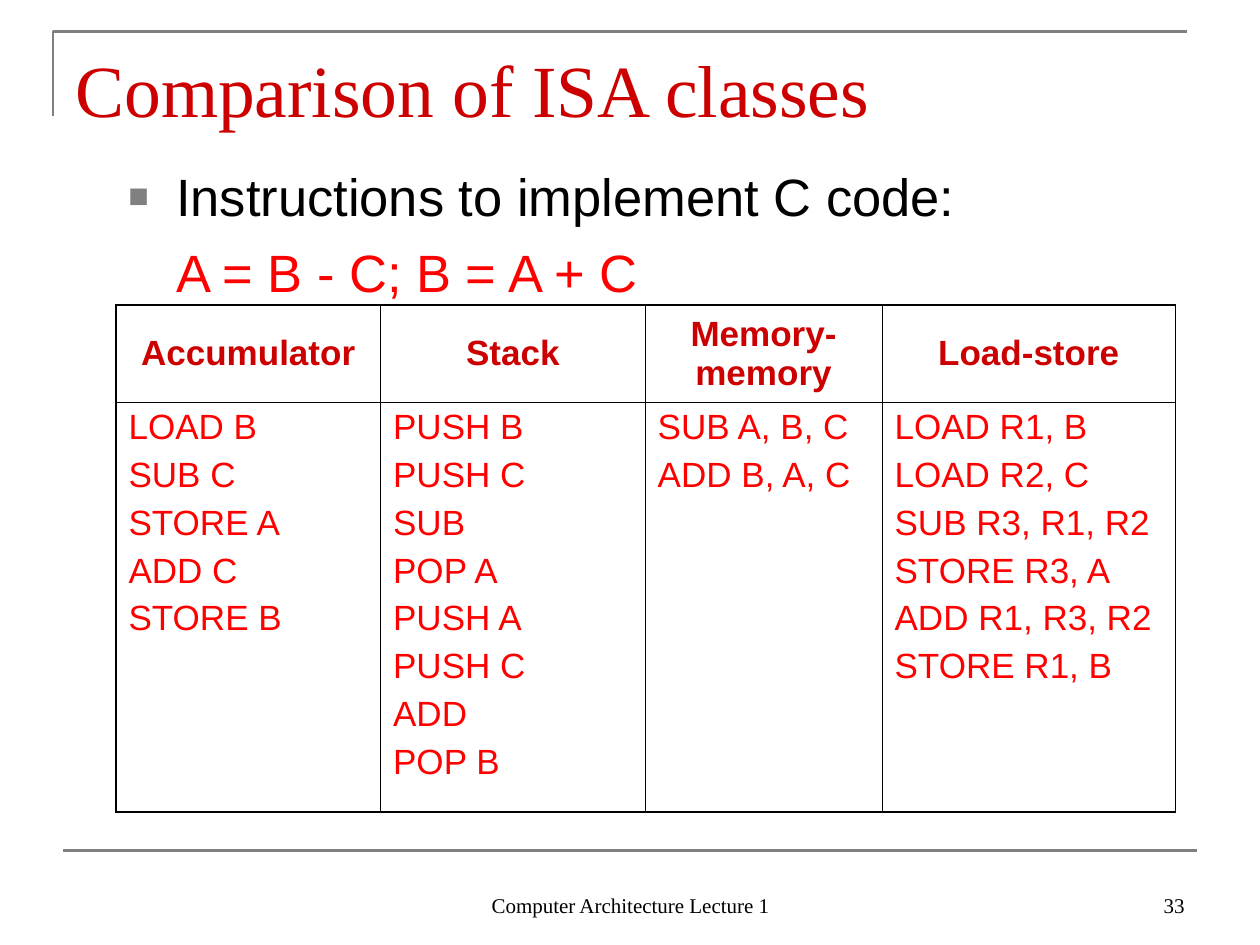
from lxml import etree
from pptx import Presentation
from pptx import util as u
from pptx.dml.color import RGBColor
from pptx.enum import shapes, text
from pptx.oxml import ns

# Content
TITLE = "Comparison of ISA classes"
LEAD = "Instructions to implement C code:"
CODE = "A = B - C; B = A + C"
FOOT = "Computer Architecture Lecture 1"
PAGE = "33"
CLASSES = [
    ("Accumulator", 2.1, ["LOAD B", "SUB C", "STORE A", "ADD C", "STORE B"]),
    ("Stack", 2.1, ["PUSH B", "PUSH C", "SUB", "POP A",
                    "PUSH A", "PUSH C", "ADD", "POP B"]),
    ("Memory-memory", 1.88, ["SUB A, B, C", "ADD B, A, C"]),
    ("Load-store", 2.33, ["LOAD R1, B", "LOAD R2, C", "SUB R3, R1, R2",
                          "STORE R3, A", "ADD R1, R3, R2", "STORE R1, B"]),
]
ROWS = [0.77, 3.25]
OUTER, INNER = 1.08, 0.45

# Formats
RED, DARK, GRAY, BLACK = "FF0000", "CC0000", "808080", "000000"
SERIF, SANS = "Times New Roman", "Arial"
HEAD = dict(name=SANS, size=20, bold=True, color=DARK)
CELL = dict(name=SANS, size=20, bold=False, color=RED)
BODY = dict(name=SANS, size=30, color=BLACK)
SMALL = dict(name=SERIF, size=12, color=BLACK)
BIG = dict(name=SERIF, size=42, color=DARK)
LEFT, MID, RIGHT = (text.PP_ALIGN.LEFT, text.PP_ALIGN.CENTER,
                    text.PP_ALIGN.RIGHT)
TOP, LOW, HALF = (text.MSO_ANCHOR.TOP, text.MSO_ANCHOR.BOTTOM,
                  text.MSO_ANCHOR.MIDDLE)


def rgb(code):
    return RGBColor.from_string(code)


def style(font, form):
    for key, val in form.items():
        if key == "color":
            font.color.rgb = rgb(val)
        else:
            setattr(font, key, u.Pt(val) if key == "size" else val)


def write(frame, lines, form, align=LEFT, gap=0):
    for i, line in enumerate(lines):
        para = frame.paragraphs[0] if i == 0 else frame.add_paragraph()
        para.alignment = align
        if i:
            para.space_before = u.Pt(gap)
        run = para.add_run()
        run.text = line
        style(run.font, form)


def add_box(slide, spot, lines, form, align=LEFT, anchor=TOP, gap=0):
    frame = slide.shapes.add_textbox(*map(u.Inches, spot)).text_frame
    frame.word_wrap = True
    frame.vertical_anchor = anchor
    write(frame, lines, form, align, gap)
    return frame


def add_tag(root, tag, **attrs):
    return etree.SubElement(root, ns.qn(tag), attrs)


def paint(line):
    line.color.rgb = rgb(GRAY)
    line.width = u.Pt(1.5)


def add_rules(slide):
    pen = slide.shapes.build_freeform(u.Inches(0.42), u.Inches(0.92))
    pen.add_line_segments([(u.Inches(x), u.Inches(y))
                           for x, y in [(0.42, 0.25), (9.42, 0.25)]], close=False)
    frame = pen.convert_to_shape()
    frame.fill.background()
    frame.shadow.inherit = False
    paint(frame.line)
    rule = slide.shapes.add_connector(
        shapes.MSO_CONNECTOR.STRAIGHT, *map(u.Inches, (0.5, 6.75, 9.5, 6.75)))
    paint(rule.line)
    add_tag(rule._element.spPr, "a:effectLst")


def add_body(slide):
    frame = add_box(slide, (0.92, 1.25, 8.58, 5.45), [LEAD, CODE], BODY,
                    gap=7.5)
    lead, code = frame.paragraphs
    code.runs[0].font.color.rgb = rgb(RED)
    for para, dent in ((lead, -0.38), (code, 0)):
        props = para._p.get_or_add_pPr()
        props.set("marL", str(u.Inches(0.38)))
        props.set("indent", str(u.Inches(dent)))
    props = lead._p.get_or_add_pPr()
    add_tag(add_tag(props, "a:buClr"), "a:srgbClr", val=GRAY)
    add_tag(props, "a:buSzPct", val="65000")
    add_tag(props, "a:buFont", typeface=SANS)
    add_tag(props, "a:buChar", char="■")


def add_edges(cell, row, col):
    edge = {"L": col == 0, "R": col == len(CLASSES) - 1,
            "T": row == 0, "B": row == len(ROWS) - 1}
    props = cell._tc.get_or_add_tcPr()
    for side, outer in edge.items():
        line = add_tag(props, "a:ln" + side, w=str(u.Pt(OUTER if outer else INNER)))
        add_tag(add_tag(line, "a:solidFill"), "a:srgbClr", val=BLACK)
    cell.fill.background()


def add_grid(slide):
    wide = sum(width for _, width, _ in CLASSES)
    grid = slide.shapes.add_table(
        len(ROWS), len(CLASSES),
        *map(u.Inches, (0.92, 2.42, wide, sum(ROWS)))).table
    for row, high in zip(grid.rows, ROWS):
        row.height = u.Inches(high)
    for col, (name, width, code) in enumerate(CLASSES):
        grid.columns[col].width = u.Inches(width)
        parts = [([name], HEAD, MID, HALF), (code, CELL, LEFT, TOP)]
        for row, (lines, form, align, anchor) in enumerate(parts):
            cell = grid.cell(row, col)
            cell.vertical_anchor = anchor
            write(cell.text_frame, lines, form, align, 5)
            add_edges(cell, row, col)


def main():
    deck = Presentation()
    deck.slide_width, deck.slide_height = u.Inches(10), u.Inches(7.5)
    slide = deck.slides.add_slide(deck.slide_layouts[6])
    add_rules(slide)
    # Footer and page number
    add_box(slide, (3.42, 6.83, 3.17, 0.5), [FOOT], SMALL, MID, LOW)
    add_box(slide, (7.17, 6.83, 2.33, 0.5), [PAGE], SMALL, RIGHT, LOW)
    # Title, lead text and comparison table
    add_box(slide, (0.5, 0.3, 9, 0.78), [TITLE], BIG)
    add_body(slide)
    add_grid(slide)
    deck.save("out.pptx")


if __name__ == "__main__":
    main()
